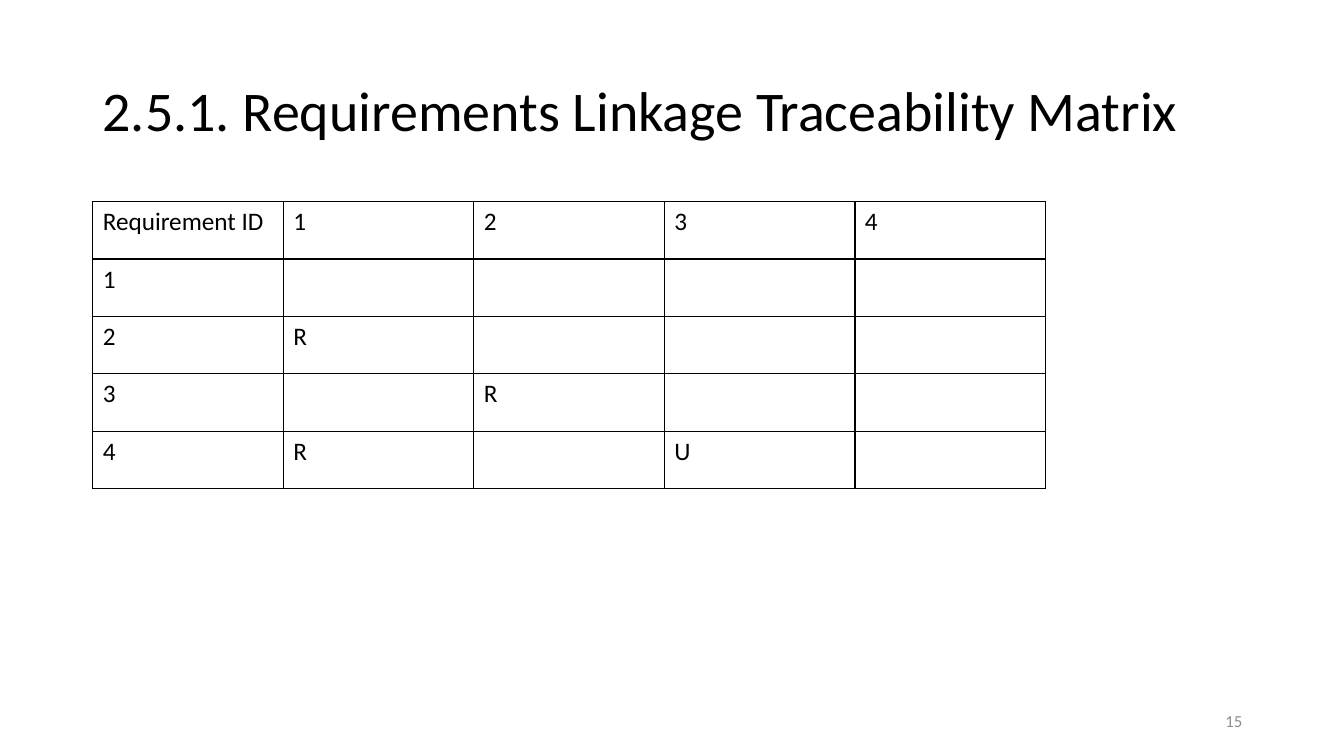
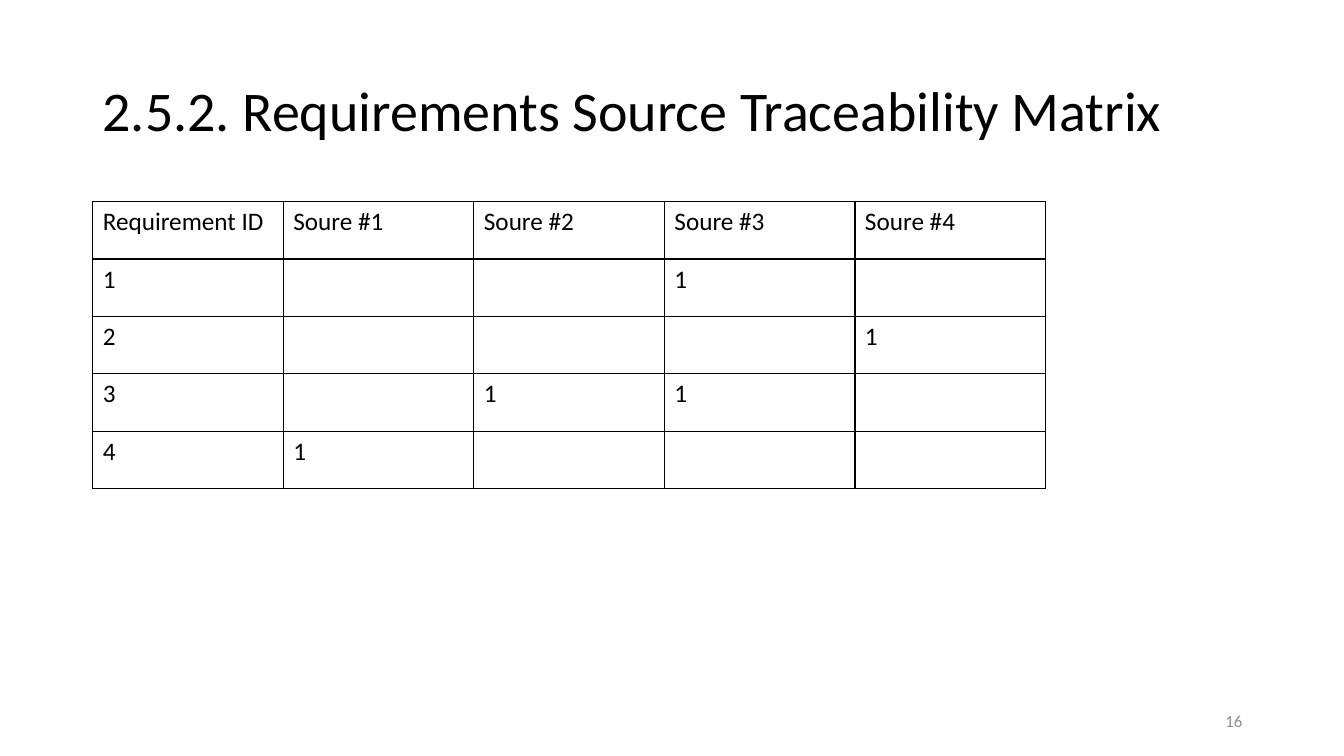
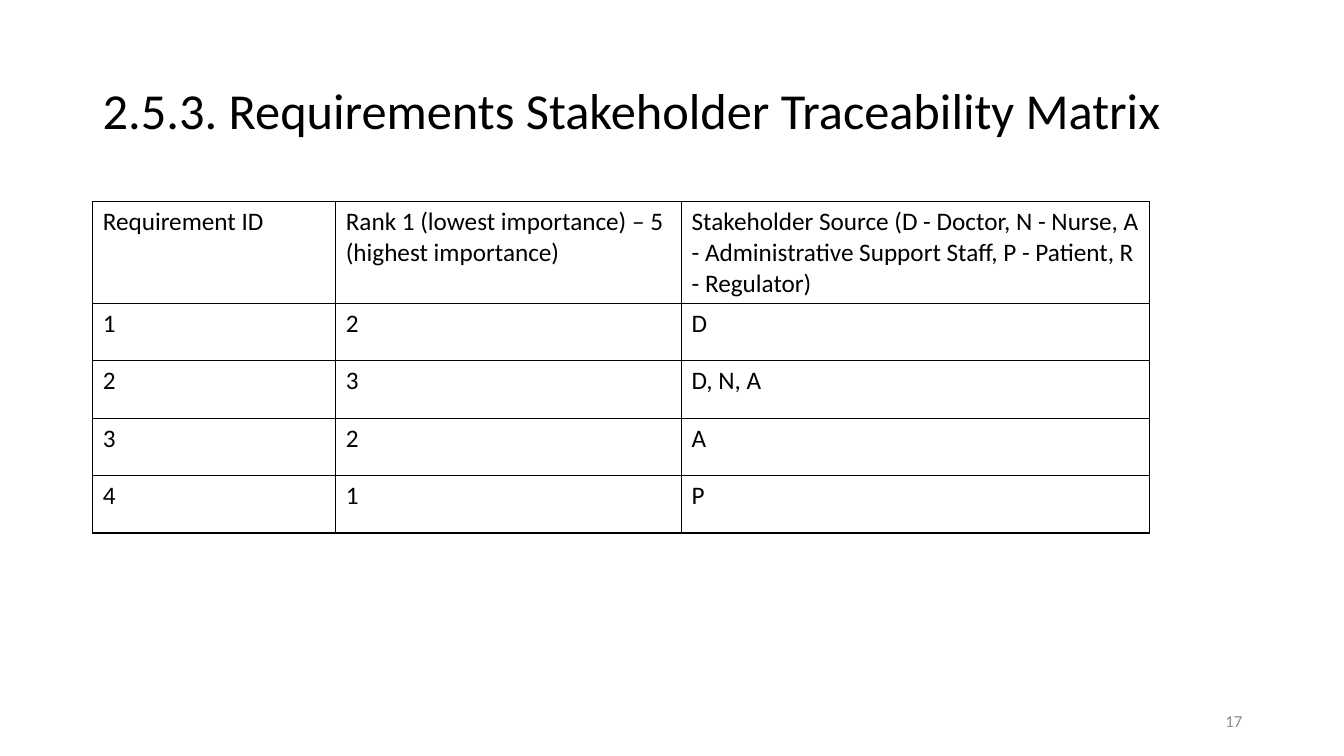
from lxml.etree import SubElement
from pptx import Presentation
from pptx.dml.color import RGBColor
from pptx.enum.text import MSO_ANCHOR, PP_ALIGN
from pptx.oxml.ns import qn
from pptx.util import Inches, Pt

INK = "000000"
PAGE_GREY = "8C8C8C"
LEFT = 0.92
ROW_HEIGHT = 0.57
FIRST_PAGE = 15


def write(frame, text, size, color, **paragraph_format):
    frame.word_wrap = True
    paragraph = frame.paragraphs[0]
    paragraph.text = text
    for name, value in paragraph_format.items():
        setattr(paragraph, name, value)
    font = {"name": "Calibri", "size": Pt(size)}
    for name, value in font.items():
        setattr(paragraph.font, name, value)
    paragraph.font.color.rgb = RGBColor.from_string(color)


def add_borders(cell):
    properties = cell._tc.get_or_add_tcPr()
    for side in ("lnL", "lnR", "lnT", "lnB"):
        line = SubElement(properties, qn(f"a:{side}"), w=str(Pt(1)))
        fill = SubElement(line, qn("a:solidFill"))
        SubElement(fill, qn("a:srgbClr"), val=INK)


matrices = [
    {
        "title": "2.5.1. Requirements Linkage Traceability Matrix",
        "title_size": 40,
        "column_widths": [1.89] * 5,
        "header_height": ROW_HEIGHT,
        "rows": [
            ["Requirement ID", "1", "2", "3", "4"],
            ["1", "", "", "", ""],
            ["2", "R", "", "", ""],
            ["3", "", "R", "", ""],
            ["4", "R", "", "U", ""],
        ],
    },
    {
        "title": "2.5.2. Requirements Source Traceability Matrix",
        "title_size": 40,
        "column_widths": [1.89] * 5,
        "header_height": ROW_HEIGHT,
        "rows": [
            ["Requirement ID", "Soure #1", "Soure #2", "Soure #3", "Soure #4"],
            ["1", "", "", "1", ""],
            ["2", "", "", "", "1"],
            ["3", "", "1", "1", ""],
            ["4", "1", "", "", ""],
        ],
    },
    {
        "title": "2.5.3. Requirements Stakeholder Traceability Matrix",
        "title_size": 36,
        "column_widths": [2.41, 3.43, 4.64],
        "header_height": 1.01,
        "rows": [
            [
                "Requirement ID",
                "Rank 1 (lowest importance) – 5 (highest importance)",
                "Stakeholder Source (D - Doctor, N - Nurse, A - Administrative "
                "Support Staff, P - Patient, R - Regulator)",
            ],
            ["1", "2", "D"],
            ["2", "3", "D, N, A"],
            ["3", "2", "A"],
            ["4", "1", "P"],
        ],
    },
]

presentation = Presentation()
presentation.slide_width = Inches(13.33)
presentation.slide_height = Inches(7.5)
blank = presentation.slide_layouts[6]

for page, matrix in enumerate(matrices, FIRST_PAGE):
    slide = presentation.slides.add_slide(blank)

    title = slide.shapes.add_textbox(
        Inches(LEFT), Inches(0.4), Inches(11.5), Inches(1.45)
    ).text_frame
    title.vertical_anchor = MSO_ANCHOR.MIDDLE
    write(title, matrix["title"], matrix["title_size"], INK, line_spacing=0.9)

    rows, widths = matrix["rows"], matrix["column_widths"]
    heights = [matrix["header_height"]] + [ROW_HEIGHT] * (len(rows) - 1)
    table = slide.shapes.add_table(
        len(rows), len(widths),
        Inches(LEFT), Inches(2), Inches(sum(widths)), Inches(sum(heights)),
    ).table
    table.first_row = table.horz_banding = False
    for column, width in zip(table.columns, widths):
        column.width = Inches(width)
    for row, height, texts in zip(table.rows, heights, rows):
        row.height = Inches(height)
        for cell, text in zip(row.cells, texts):
            add_borders(cell)
            cell.fill.background()
            write(cell.text_frame, text, 18, INK)

    page_number = slide.shapes.add_textbox(
        Inches(9.42), Inches(6.95), Inches(3), Inches(0.4)
    ).text_frame
    page_number.vertical_anchor = MSO_ANCHOR.MIDDLE
    write(page_number, str(page), 12, PAGE_GREY, alignment=PP_ALIGN.RIGHT)

presentation.save("out.pptx")
